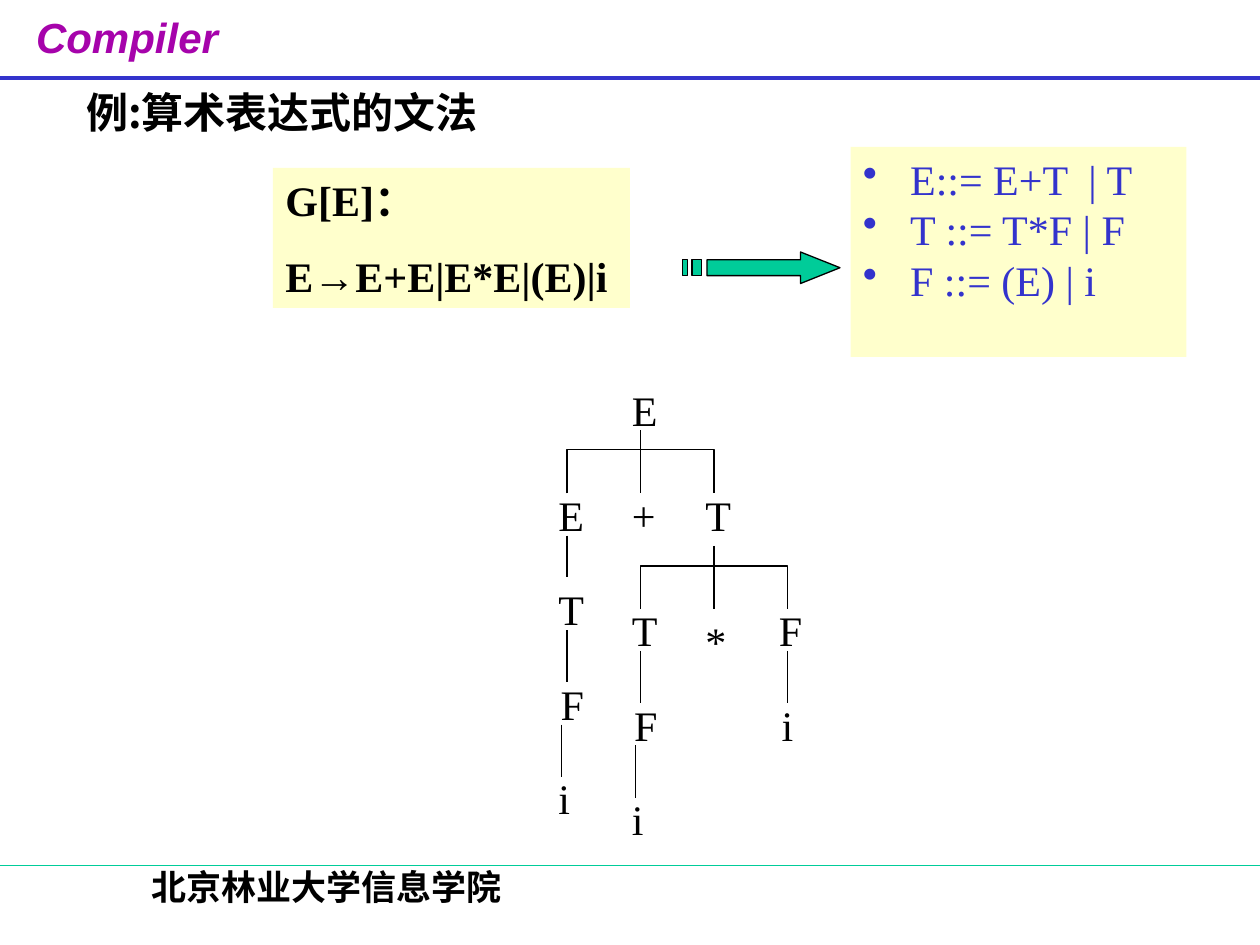
from lxml.etree import SubElement
from pptx import Presentation
from pptx.dml.color import RGBColor
from pptx.enum.shapes import MSO_CONNECTOR, MSO_SHAPE
from pptx.enum.text import MSO_ANCHOR, PP_ALIGN
from pptx.oxml.ns import qn
from pptx.util import Pt

BLACK = RGBColor(0x00, 0x00, 0x00)
BLUE = RGBColor(0x33, 0x33, 0xCC)
GREEN = RGBColor(0x00, 0xCC, 0x99)
PURPLE = RGBColor(0xA6, 0x03, 0xAB)
CREAM = RGBColor(0xFF, 0xFF, 0xCC)
SERIF = "Times New Roman"
HAN = "Noto Sans CJK SC"

COURSE = "Compiler"
SCHOOL = "北京林业大学信息学院"
HEADING = "例:算术表达式的文法"
AMBIGUOUS_GRAMMAR = ["G[E]：", "E→E+E|E*E|(E)|i"]
LAYERED_GRAMMAR = ["E::= E+T  | T", "T ::= T*F | F", "F ::= (E) | i"]

COLUMN_LEFT, COLUMN_STEP, STEM_INSET = 312, 42, 12
LEFT, CENTER = PP_ALIGN.LEFT, PP_ALIGN.CENTER
# symbol, column, top, width, alignment
TREE_NODES = [
    ("E", 1, 216, 24, LEFT),
    ("E", 0, 276, 24, LEFT), ("+", 1, 276, 24, LEFT), ("T", 2, 276, 24, LEFT),
    ("T", 0, 330, 24, LEFT), ("F", 0, 384, 30, CENTER), ("i", 0, 438, 18, CENTER),
    ("T", 1, 342, 24, LEFT), ("F", 1, 396, 30, CENTER), ("i", 1, 450, 18, CENTER),
    ("*", 2, 348, 24, LEFT),
    ("F", 3, 342, 24, LEFT), ("i", 3, 396, 24, CENTER),
]
TREE_STEMS = [
    (1, 246, 282, 0), (2, 312, 348, 0),
    (0, 306, 330, 0), (0, 360, 390, 0), (0, 414, 444, -3),
    (1, 372, 402, 0), (1, 426, 456, -3), (3, 372, 402, 0),
]
TREE_FORKS = [(0, 2, 257, 282), (1, 3, 323.5, 348)]

ARROW_PARTS = [
    [(457.5, 144), (457.5, 148.5), (404, 148.5), (404, 157.5),
     (457.5, 157.5), (457.5, 162), (480, 153)],
    [(395.5, 148.5), (395.5, 157.5), (401, 157.5), (401, 148.5)],
    [(390, 148.5), (390, 157.5), (393, 157.5), (393, 148.5)],
]


def write(frame, lines, font=SERIF, size=24, color=BLACK, bold=False, italic=False,
          align=LEFT, gap=0, bullet=False, anchor=MSO_ANCHOR.TOP, wrap=True):
    frame.word_wrap = wrap
    frame.vertical_anchor = anchor
    for index, line in enumerate(lines):
        paragraph = frame.paragraphs[0] if index == 0 else frame.add_paragraph()
        paragraph.alignment = align
        paragraph.space_before = Pt(gap if index else 0)
        if bullet:
            properties = paragraph._p.get_or_add_pPr()
            properties.set("marL", str(Pt(27)))
            properties.set("indent", str(-Pt(27)))
            SubElement(properties, qn("a:buChar"), char="•")
        run = paragraph.add_run()
        run.text = line
        run.font.name = font
        run.font.size = Pt(size)
        run.font.color.rgb = color
        run.font.bold = bold
        run.font.italic = italic
        SubElement(run._r.get_or_add_rPr(), qn("a:ea"), typeface=HAN)


def add_label(shapes, box, lines, **style):
    label = shapes.add_textbox(*map(Pt, box))
    write(label.text_frame, lines, **style)


def add_panel(shapes, box, lines, **style):
    panel = shapes.add_shape(MSO_SHAPE.RECTANGLE, *map(Pt, box))
    panel.shadow.inherit = False
    panel.fill.solid()
    panel.fill.fore_color.rgb = CREAM
    panel.line.fill.background()
    write(panel.text_frame, lines, **style)


def add_line(shapes, start, end, color=BLACK, width=0.75):
    line = shapes.add_connector(MSO_CONNECTOR.STRAIGHT, *map(Pt, start + end))
    line.line.color.rgb = color
    line.line.width = Pt(width)
    SubElement(line._element.spPr, qn("a:effectLst"))


def add_outline(shapes, contours, fill=None):
    builder = None
    for contour in contours:
        first, *rest = [(Pt(x), Pt(y)) for x, y in contour]
        if builder is None:
            builder = shapes.build_freeform(*first)
        else:
            builder.move_to(*first)
        builder.add_line_segments(rest, close=fill is not None)
    outline = builder.convert_to_shape()
    outline.shadow.inherit = False
    outline.line.color.rgb = BLACK
    outline.line.width = Pt(0.75)
    if fill is None:
        outline.fill.background()
    else:
        outline.fill.solid()
        outline.fill.fore_color.rgb = fill


def column_left(column):
    return COLUMN_LEFT + column * COLUMN_STEP


def stem_x(column):
    return column_left(column) + STEM_INSET


def add_tree(shapes):
    for symbol, column, top, width, align in TREE_NODES:
        add_label(shapes, (column_left(column), top, width, 36), [symbol], align=align)
    for column, top, bottom, shift in TREE_STEMS:
        x = stem_x(column) + shift
        add_line(shapes, (x, top), (x, bottom))
    for first, last, top, bottom in TREE_FORKS:
        left, right = stem_x(first), stem_x(last)
        add_outline(shapes, [[(left, bottom), (left, top), (right, top), (right, bottom)]])


def main():
    deck = Presentation()
    deck.slide_width, deck.slide_height = Pt(720), Pt(540)
    slide = deck.slides.add_slide(deck.slide_layouts[5])
    shapes = slide.shapes

    heading = shapes.title
    heading.left, heading.top, heading.width, heading.height = map(Pt, (42, 46, 260, 36))
    write(heading.text_frame, [HEADING], font=HAN, bold=True, anchor=MSO_ANCHOR.MIDDLE)

    add_label(shapes, (13.5, 3, 137.5, 44.5), [COURSE], font="Arial", color=PURPLE,
              bold=True, italic=True, wrap=False)
    add_line(shapes, (0, 44.5), (720, 44.5), BLUE, 2.25)
    add_line(shapes, (0, 494.5), (720, 494.5), GREEN)
    add_label(shapes, (37.5, 491, 298, 36), [SCHOOL], size=20, bold=True, align=CENTER)

    add_panel(shapes, (156, 96, 204, 80), AMBIGUOUS_GRAMMAR, bold=True, gap=15)
    add_outline(shapes, ARROW_PARTS, GREEN)
    add_panel(shapes, (486, 84, 192, 120), LAYERED_GRAMMAR, color=BLUE, bullet=True)
    add_tree(shapes)

    deck.save("out.pptx")


if __name__ == "__main__":
    main()
